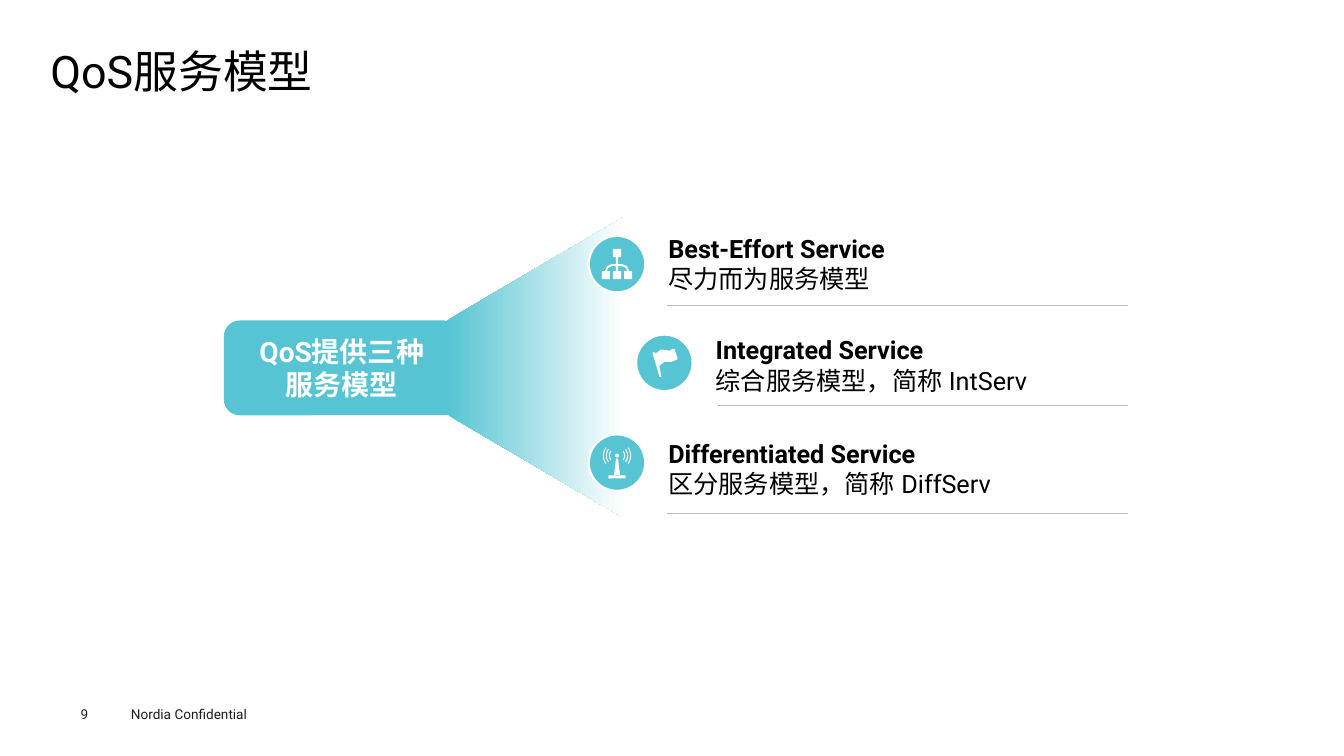
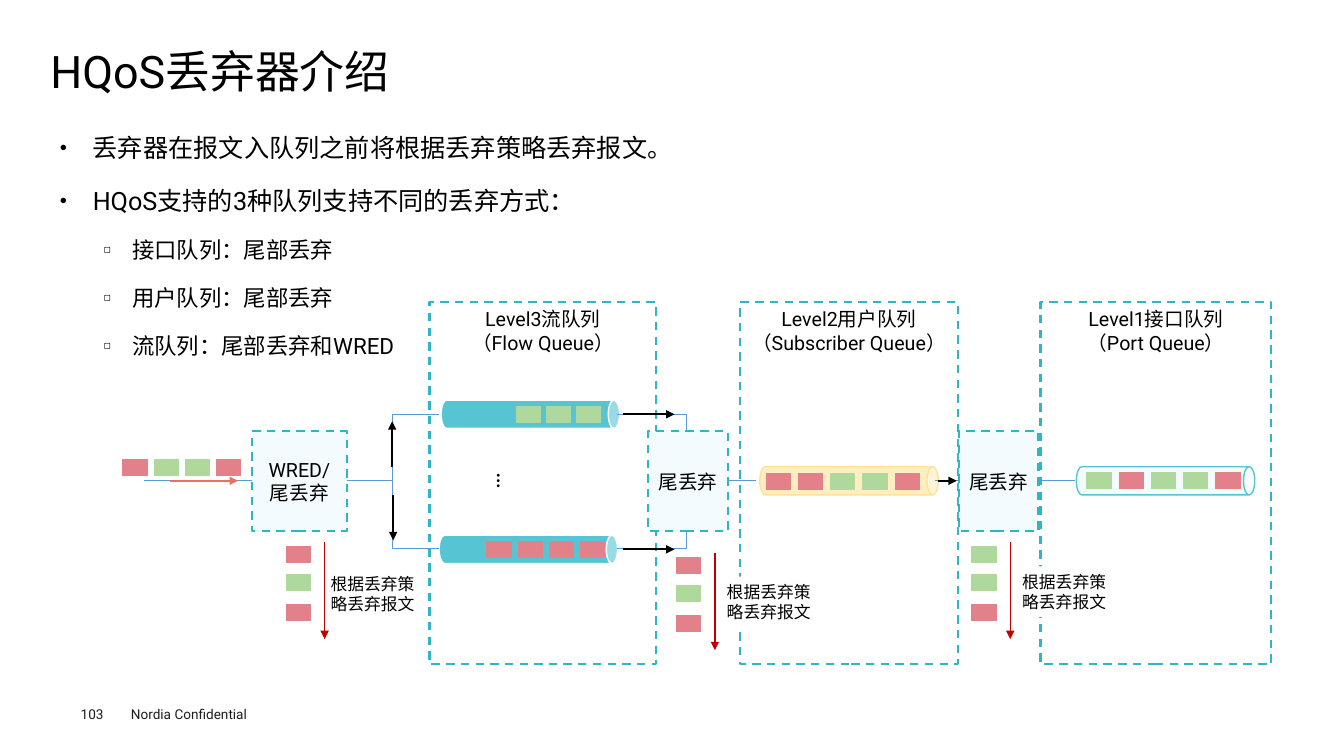
import math

import pptx
import pptx.dml.color
import pptx.enum.dml
import pptx.enum.shapes
import pptx.enum.text
import pptx.oxml
import pptx.oxml.ns
import pptx.util
from pptx.util import Inches

SHAPE = pptx.enum.shapes.MSO_SHAPE
CONNECTOR = pptx.enum.shapes.MSO_CONNECTOR
ALIGN = pptx.enum.text.PP_ALIGN
ANCHOR = pptx.enum.text.MSO_ANCHOR
NAMESPACE = pptx.oxml.ns.nsdecls("a")

# Shared look
LATIN, CJK = "Roboto", "Noto Sans CJK SC"
BLACK, WHITE, INK = "000000", "FFFFFF", "1D1D1B"
TEAL, DASH_TEAL, PALE, BLUE = "56C4D2", "30B5C5", "F4FBFE", "5B9BD5"
GREY, CRIMSON, CORAL = "BFBFBF", "C00000", "EC7061"
PACKET = {"R": "E28189", "G": "AFD89C"}
PACKET_W, PACKET_H = 0.24, 0.16
FOOTER = "Nordia Confidential"

# Slide 1: icon, icon centre x and y, text left, text middle y, text lines
MODELS = [
    ("tree", 6.12, 2.62, 6.53, 2.61, ["Best-Effort Service", "尽力而为服务模型"]),
    ("flag", 6.59, 3.6, 7.0, 3.62, ["Integrated Service", "综合服务模型，简称 IntServ"]),
    ("antenna", 6.12, 4.59, 6.53, 4.65, ["Differentiated Service", "区分服务模型，简称 DiffServ"]),
]
RULES = [(6.62, 3.03), (7.12, 4.02), (6.62, 5.09)]
FLAG = [(0.13, -0.04), (0.1, -0.14), (0.08, -0.14), (0.05, -0.12), (0, -0.13), (-0.04, -0.13),
        (-0.09, -0.09), (-0.1, -0.11), (-0.12, -0.1), (-0.08, 0.03), (-0.05, 0.14),
        (-0.03, 0.14), (-0.05, 0.03), (0, -0.01), (0.07, -0.01), (0.12, -0.03)]
HALF_BRANCH = [(0.01, -0.07), (0.01, 0), (0.05, 0), (0.1, 0.02), (0.12, 0.07),
               (0.1, 0.07), (0.09, 0.04), (0.05, 0.02), (0.01, 0.02), (0.01, 0.07)]

# Slide 2
BULLETS = [
    (0, "丢弃器在报文入队列之前将根据丢弃策略丢弃报文。"),
    (0, "HQoS支持的3种队列支持不同的丢弃方式："),
    (1, "接口队列：尾部丢弃"),
    (1, "用户队列：尾部丢弃"),
    (1, "流队列：尾部丢弃和WRED"),
]
LEVELS = [  # text size, indent, hang, space before, bullet, alignment
    (18, 0.33, 0.33, 7.9, "●", ALIGN.JUSTIFY),
    (16, 0.72, 0.28, 7.2, "◻", ALIGN.LEFT),
]
TUBES = [  # centre x, centre y, fill, line
    (8.42, 4.77, "FEEEC1", "FDE397"), (11.56, 4.77, PALE, TEAL),
    (5.26, 4.11, TEAL, WHITE), (5.24, 5.45, TEAL, WHITE),
]
STAGES = [  # left, width, lines
    (10.32, 2.29, ["Level1接口队列", "（Port Queue）"]),
    (7.34, 2.16, ["Level2用户队列", "（Subscriber Queue）"]),
    (4.26, 2.25, ["Level3流队列", "（Flow Queue）"]),
]
ELBOWS = [(6.12, 4.11, 7.5, 4.77), (6.12, 5.44, 7.5, 4.77),
          (3.44, 4.77, 4.35, 4.11), (4.35, 5.44, 3.44, 4.77)]
LINKS = [(9.27, 10.66), (1.43, 2.5)]
DROPPERS = [(2.5, 0.94, "WRED/尾丢弃"), (6.43, 0.79, "尾丢弃"), (9.51, 0.79, "尾丢弃")]
QUEUES = [  # left, top, step, packets
    (1.22, 4.56, 0.31, "RGGR"), (5.12, 4.03, 0.3, "GGG"), (4.83, 5.37, 0.31, "RRRR"),
    (7.6, 4.7, 0.32, "RRGGR"), (10.78, 4.69, 0.32, "GRGGR"),
]
DISCARD_DROPS = (0, 0.28, 0.58)
DISCARDS = [  # packet left, top, packets, label left, label top, label fill
    (2.84, 5.42, "RGR", 3.18, 5.64, None),
    (6.71, 5.53, "RGR", 7.11, 5.72, WHITE),
    (9.64, 5.42, "GGR", 10.04, 5.62, WHITE),
]
FLOW_ARROWS = [  # from, to, colour
    (1.69, 4.77, 2.36, 4.77, CORAL), (3.89, 4.63, 3.89, 4.18, BLACK),
    (3.9, 4.91, 3.9, 5.36, BLACK), (6.18, 5.45, 6.69, 5.45, BLACK),
    (6.18, 4.11, 6.69, 4.11, BLACK), (9.3, 4.77, 9.49, 4.77, BLACK),
]


def colour(value):
    return pptx.dml.color.RGBColor.from_string(value)


def write(para, text, size=14, color=BLACK, bold=False, font=LATIN, align=None, spacing=None):
    span = para.add_run()
    span.text = text
    span.font.size = pptx.util.Pt(size)
    span.font.bold = bold
    span.font.color.rgb = colour(color)
    span.font.name = font
    span.font._element.append(pptx.oxml.parse_xml(f'<a:ea {NAMESPACE} typeface="{font}"/>'))
    if align is not None:
        para.alignment = align
    if spacing is not None:
        para.line_spacing = spacing
    return span


def write_lines(box, lines, anchor=ANCHOR.TOP, inset=None, bold_first=False, **style):
    frame = box.text_frame
    frame.word_wrap = True
    frame.vertical_anchor = anchor
    if inset is not None:
        frame.margin_left = frame.margin_right = Inches(inset)
        frame.margin_top = frame.margin_bottom = Inches(inset)
    for index, line in enumerate(lines):
        para = frame.add_paragraph() if index else frame.paragraphs[0]
        span = write(para, line, **style)
        if bold_first and index == 0:
            span.font.bold = True


def add_text(page, left, top, width, height, lines, **style):
    box = page.shapes.add_textbox(Inches(left), Inches(top), Inches(width), Inches(height))
    write_lines(box, lines, **style)
    return box


def paint(shape, fill=None, line=None, weight=1, dash=False):
    shape.shadow.inherit = False
    if fill:
        shape.fill.solid()
        shape.fill.fore_color.rgb = colour(fill)
    else:
        shape.fill.background()
    if line:
        shape.line.color.rgb = colour(line)
        shape.line.width = pptx.util.Pt(weight)
        if dash:
            shape.line.dash_style = pptx.enum.dml.MSO_LINE.DASH
    else:
        shape.line.fill.background()


def add_block(page, kind, left, top, width, height, **look):
    shape = page.shapes.add_shape(kind, Inches(left), Inches(top), Inches(width), Inches(height))
    paint(shape, **look)
    return shape


def add_centred(page, kind, x, y, width, height, **look):
    return add_block(page, kind, x - width / 2, y - height / 2, width, height, **look)


def add_outline(page, contours, x=0, y=0, **look):
    contours = [[(Inches(x + dx), Inches(y + dy)) for dx, dy in points] for points in contours]
    builder = page.shapes.build_freeform(*contours[0][0])
    for index, points in enumerate(contours):
        if index:
            builder.move_to(*points[0])
        builder.add_line_segments(points[1:], close=True)
    shape = builder.convert_to_shape()
    paint(shape, **look)
    return shape


def add_line(page, x1, y1, x2, y2, color, weight, arrow=False, kind=CONNECTOR.STRAIGHT):
    line = page.shapes.add_connector(kind, Inches(x1), Inches(y1), Inches(x2), Inches(y2))
    line.line.color.rgb = colour(color)
    line.line.width = pptx.util.Pt(weight)
    if arrow:
        line.line._get_or_add_ln().append(
            pptx.oxml.parse_xml(f'<a:tailEnd {NAMESPACE} type="triangle"/>'))
    line._element.spPr.append(pptx.oxml.parse_xml(f"<a:effectLst {NAMESPACE}/>"))


def place(shape, left, top, width, height):
    shape.left, shape.top = Inches(left), Inches(top)
    shape.width, shape.height = Inches(width), Inches(height)


def add_page(deck, layout, title, number):
    page = deck.slides.add_slide(deck.slide_layouts[layout])
    add_text(page, 1.2, 6.95, 1.6, 0.27, [FOOTER], size=9.7, color=INK)
    add_text(page, 0.8, 7, 0.55, 0.16, [number], size=9.7, color=INK, inset=0)
    place(page.shapes.title, 0.5, 0.47, 12.31, 0.53)
    page.shapes.title.text_frame.auto_size = pptx.enum.text.MSO_AUTO_SIZE.NONE
    write_lines(page.shapes.title, [title], size=32, align=ALIGN.LEFT, spacing=0.9,
                anchor=ANCHOR.MIDDLE, inset=0)
    return page


# Icon outlines, measured from their disc centre
def rectangle(x, y, width, height):
    return [(x + side * width / 2, y + end * height / 2)
            for side, end in [(-1, -1), (1, -1), (1, 1), (-1, 1)]]


def arc(y, radius, start, stop, step):
    return [(radius * math.cos(math.radians(turn)), y + radius * math.sin(math.radians(turn)))
            for turn in range(start, stop, step)]


def tree_outline():
    mirrored = [(-dx, dy) for dx, dy in reversed(HALF_BRANCH)]
    boxes = [(0, -0.11), (-0.11, 0.11), (0, 0.11), (0.11, 0.11)]
    return [HALF_BRANCH + mirrored] + [rectangle(dx, dy, 0.08, 0.08) for dx, dy in boxes]


def antenna_outline():
    hub = -0.07
    waves = [arc(hub, radius, side - 36, side + 37, 9)
             + arc(hub, radius + 0.01, side + 36, side - 37, -9)
             for side in (0, 180) for radius in (0.07, 0.1, 0.13)]
    mast = [(-0.01, -0.04), (0.01, -0.04), (0.03, 0.13), (-0.03, 0.13)]
    return waves + [arc(hub, 0.02, 0, 360, 30), mast, rectangle(0, 0.14, 0.17, 0.03)]


ICONS = {"tree": tree_outline(), "flag": [FLAG], "antenna": antenna_outline()}


def build_models(deck):
    page = add_page(deck, 5, "QoS服务模型", "9")
    hub = add_block(page, SHAPE.ROUNDED_RECTANGLE, 2.22, 3.18, 2.34, 0.94, fill=TEAL)
    write_lines(hub, ["QoS提供三种", "服务模型"], size=20, color=WHITE, bold=True,
                align=ALIGN.CENTER, anchor=ANCHOR.MIDDLE)
    for left, y in RULES:
        add_line(page, left, y, 11.19, y, GREY, 0.25)

    # Fading beam
    beam = add_outline(page, [[(6.19, 2.15), (6.19, 5.14), (4.43, 4.11), (4.43, 3.18)]])
    beam.fill.gradient()
    beam.fill.gradient_angle = 0
    for stop, value in zip(beam.fill.gradient_stops, (TEAL, WHITE)):
        stop.color.rgb = colour(value)

    for icon, x, y, left, middle, lines in MODELS:
        add_centred(page, SHAPE.OVAL, x, y, 0.56, 0.56, fill=TEAL, line=WHITE, weight=1.5)
        add_outline(page, ICONS[icon], x, y, fill=WHITE)
        add_text(page, left, middle - 0.46, 4.19, 0.92, lines, size=18, bold_first=True,
                 anchor=ANCHOR.MIDDLE)


def add_bullets(body):
    frame = body.text_frame
    frame.auto_size = pptx.enum.text.MSO_AUTO_SIZE.NONE
    frame.margin_left = frame.margin_right = Inches(0.09)
    frame.margin_top = frame.margin_bottom = Inches(0.04)
    for index, (level, text) in enumerate(BULLETS):
        size, indent, hang, before, mark, align = LEVELS[level]
        para = frame.add_paragraph() if index else frame.paragraphs[0]
        para.level = level
        para.space_before = pptx.util.Pt(before if index else 0)
        props = para._p.get_or_add_pPr()
        props.set("marL", str(Inches(indent)))
        props.set("indent", str(-Inches(hang)))
        for bullet in ('buSzPct {} val="50000"', 'buChar {} char="' + mark + '"'):
            props.append(pptx.oxml.parse_xml("<a:" + bullet.format(NAMESPACE) + "/>"))
        write(para, text, size=size, align=align, spacing=1.4)


def add_packet(page, left, top, kind):
    add_block(page, SHAPE.RECTANGLE, left, top, PACKET_W, PACKET_H,
              fill=PACKET[kind], line=PACKET[kind], weight=0.75)


def build_droppers(deck):
    page = add_page(deck, 1, "HQoS丢弃器介绍", "103")
    body = page.placeholders[1]
    place(body, 0.5, 1.15, 12.31, 5.34)
    add_bullets(body)

    # Queues and stages
    for x, y, fill, line in TUBES:
        tube = add_centred(page, SHAPE.CAN, x, y, 0.28, 1.77, fill=fill, line=line)
        tube.adjustments[0] = 0.4
        tube.rotation = 90
    for left, width, lines in STAGES:
        stage = add_block(page, SHAPE.RECTANGLE, left, 3, width, 3.59,
                          line=DASH_TEAL, weight=1.5, dash=True)
        write_lines(stage, lines, align=ALIGN.CENTER)
    dots = add_text(page, 4.73, 4.59, 0.5, 0.41, ["…"], size=18)
    dots.text_frame._txBody.bodyPr.set("vert", "eaVert")

    # Links and droppers
    for ends in ELBOWS:
        add_line(page, *ends, BLUE, 0.5, kind=CONNECTOR.ELBOW)
    for start, end in LINKS:
        add_line(page, start, 4.77, end, 4.77, BLUE, 0.5)
    for left, width, text in DROPPERS:
        dropper = add_block(page, SHAPE.RECTANGLE, left, 4.28, width, 0.99,
                            fill=PALE, line=DASH_TEAL, weight=1.5, dash=True)
        write_lines(dropper, [text], align=ALIGN.CENTER, anchor=ANCHOR.MIDDLE)

    # Packets waiting, and packets discarded
    for left, top, step, kinds in QUEUES:
        for index, kind in enumerate(kinds):
            add_packet(page, left + index * step, top, kind)
    for left, top, kinds, label_left, label_top, fill in DISCARDS:
        for drop, kind in zip(DISCARD_DROPS, kinds):
            add_packet(page, left, top + drop, kind)
        add_line(page, left + 0.38, top - 0.04, left + 0.38, top + 0.92, CRIMSON, 1, arrow=True)
        label = add_block(page, SHAPE.RECTANGLE, label_left, label_top, 1.06, 0.5, fill=fill)
        write_lines(label, ["根据丢弃策略丢弃报文"], size=12, font=CJK, align=ALIGN.LEFT,
                    spacing=pptx.util.Pt(14.4))
    for *ends, color in FLOW_ARROWS:
        add_line(page, *ends, color, 1.5, arrow=True)


def main():
    deck = pptx.Presentation()
    deck.slide_width, deck.slide_height = Inches(13.33), Inches(7.5)
    build_models(deck)
    build_droppers(deck)
    deck.save("out.pptx")


if __name__ == "__main__":
    main()
